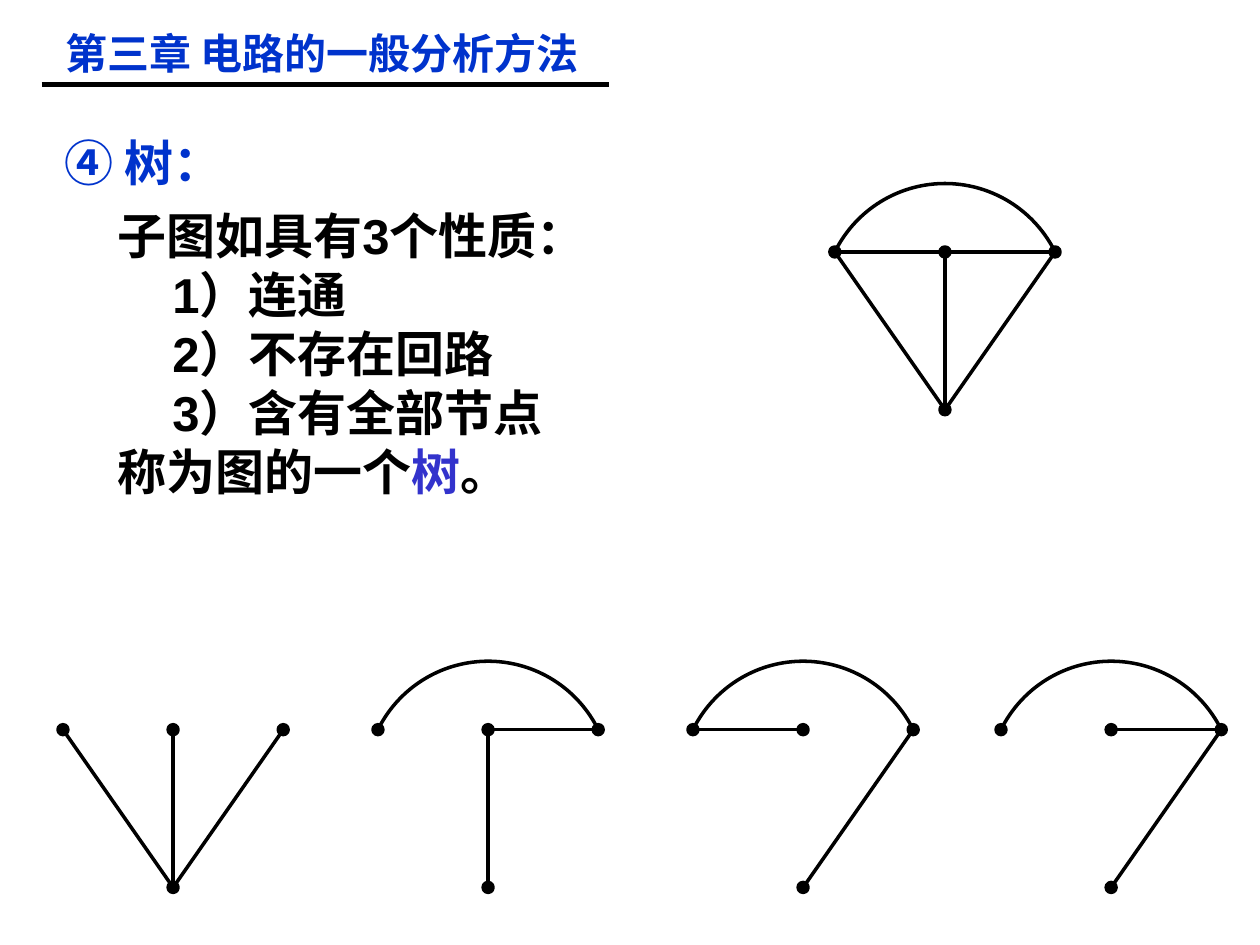
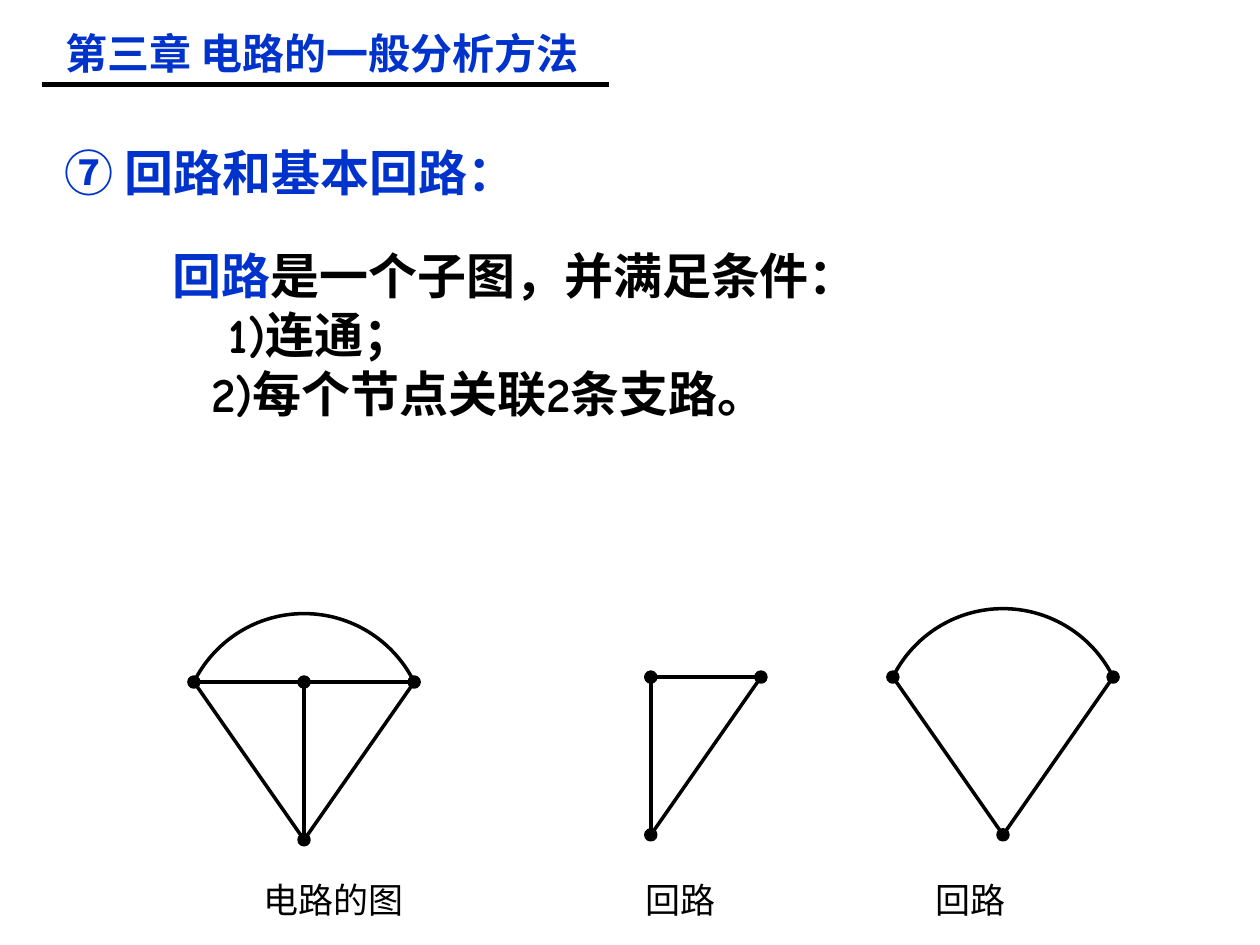
"""Build two slides on trees and loops of a circuit graph."""
import math

import lxml.etree
import pptx
import pptx.dml.color
import pptx.enum.shapes
import pptx.enum.text
import pptx.oxml.ns
import pptx.util

Cm = pptx.util.Cm
Pt = pptx.util.Pt
qn = pptx.oxml.ns.qn

COLORS = {"blue": "0033CC", "violet": "3333CC", "black": "000000"}
CJK_FONT = "Noto Sans CJK SC"
CAPTION_FONT = "Noto Sans CJK JP"
CHAPTER = "第三章 电路的一般分析方法"

HALF_WIDTH, DEPTH, RISE, NODE_SIZE = 2.22, 3.18, 1.38, 0.2
NODES = {
    "left": (-HALF_WIDTH, 0),
    "middle": (0, 0),
    "right": (HALF_WIDTH, 0),
    "bottom": (0, DEPTH),
}
FULL_GRAPH = ["left-middle", "middle-right", "left-bottom", "middle-bottom", "right-bottom"]


def rgb(name):
    return pptx.dml.color.RGBColor.from_string(COLORS[name])


def style_run(run, size, font, color, bold, asian_font=CJK_FONT):
    run.font.size = Pt(size)
    run.font.name = font
    run.font.bold = bold
    run.font.color.rgb = rgb(color)
    properties = run._r.get_or_add_rPr()
    lxml.etree.SubElement(properties, qn("a:ea")).set("typeface", asian_font)


def place(shape, left, top, width, height):
    shape.left, shape.top, shape.width, shape.height = map(Cm, (left, top, width, height))
    frame = shape.text_frame
    frame.word_wrap = True
    frame.auto_size = pptx.enum.text.MSO_AUTO_SIZE.NONE
    frame.vertical_anchor = pptx.enum.text.MSO_ANCHOR.TOP
    return frame


def draw_line(slide, start, end, width=2):
    line = slide.shapes.add_connector(
        pptx.enum.shapes.MSO_CONNECTOR.STRAIGHT, *map(Cm, (*start, *end)))
    line.line.color.rgb = rgb("black")
    line.line.width = Pt(width)
    lxml.etree.SubElement(line._element.spPr, qn("a:effectLst"))


def draw_shape(slide, kind, center, size):
    left, top = (value - size / 2 for value in center)
    shape = slide.shapes.add_shape(kind, *map(Cm, (left, top, size, size)))
    shape.shadow.inherit = False
    shape.line.color.rgb = rgb("black")
    shape.line.width = Pt(2)
    return shape


def draw_arc(slide, x, y):
    radius = (HALF_WIDTH ** 2 + RISE ** 2) / (2 * RISE)
    drop = radius - RISE
    arc = draw_shape(slide, pptx.enum.shapes.MSO_SHAPE.ARC, (x, y + drop), 2 * radius)
    arc.fill.background()
    angle = math.degrees(math.asin(drop / radius))
    for index, degrees in enumerate((180 + angle, 360 - angle)):
        arc.adjustments[index] = degrees * 0.6


def draw_graph(slide, x, y, edges, arc=True, nodes=tuple(NODES)):
    positions = {name: (x + dx, y + dy) for name, (dx, dy) in NODES.items()}
    for edge in edges:
        start, end = edge.split("-")
        draw_line(slide, positions[start], positions[end])
    if arc:
        draw_arc(slide, x, y)
    for name in nodes:
        node = draw_shape(slide, pptx.enum.shapes.MSO_SHAPE.OVAL, positions[name], NODE_SIZE)
        node.fill.solid()
        node.fill.fore_color.rgb = rgb("black")


def add_slide(presentation):
    slide = presentation.slides.add_slide(presentation.slide_layouts[1])
    frame = place(slide.shapes.title, 1.06, 0.42, 11.4, 1.28)
    frame.text = CHAPTER
    paragraph = frame.paragraphs[0]
    paragraph.alignment = pptx.enum.text.PP_ALIGN.LEFT
    style_run(paragraph.runs[0], 24, CAPTION_FONT, "blue", True, CAPTION_FONT)
    draw_line(slide, (0.84, 1.7), (12.27, 1.7), 3)
    return slide


def add_label(slide, text, left, top, width, height):
    box = slide.shapes.add_textbox(0, 0, 0, 0)
    frame = place(box, left, top, width, height)
    frame.text = text
    return frame.paragraphs[0]


def add_heading(slide, text, top):
    paragraph = add_label(slide, text, 1.06, top, 13.76, 1.45)
    style_run(paragraph.runs[0], 28, "Arial", "blue", True)


def add_caption(slide, text, center):
    paragraph = add_label(slide, text, center - 2.5, 17.58, 5, 1.12)
    paragraph.alignment = pptx.enum.text.PP_ALIGN.CENTER
    style_run(paragraph.runs[0], 20, CAPTION_FONT, "black", False, CAPTION_FONT)


def fill_body(slide, box, font, lines):
    frame = place(slide.placeholders[1], *box)
    for index, (indent, parts) in enumerate(lines):
        paragraph = frame.paragraphs[0] if index == 0 else frame.add_paragraph()
        properties = paragraph._p.get_or_add_pPr()
        properties.set("marL", str(Cm(indent)))
        properties.set("indent", "0")
        lxml.etree.SubElement(properties, qn("a:buNone"))
        paragraph.space_before = Pt(0)
        for text, color in parts:
            run = paragraph.add_run()
            run.text = text
            style_run(run, 28, font, color, True)


def build_tree_slide(presentation):
    slide = add_slide(presentation)
    add_heading(slide, "④ 树：", 2.54)
    fill_body(slide, (2.12, 4.02, 13, 6.2), "Arial", [
        (0, [("子图如具有3个性质：", "black")]),
        (1.1, [("1）连通", "black")]),
        (1.1, [("2）不存在回路", "black")]),
        (1.1, [("3）含有全部节点", "black")]),
        (0, [("称为图的一个", "black"), ("树", "violet"), ("。", "black")]),
    ])
    draw_graph(slide, 19.05, 5.08, FULL_GRAPH)
    trees = [
        (3.49, ["left-bottom", "middle-bottom", "right-bottom"], False),
        (9.84, ["middle-right", "middle-bottom"], True),
        (16.19, ["left-middle", "right-bottom"], True),
        (22.4, ["middle-right", "right-bottom"], True),
    ]
    for x, edges, arc in trees:
        draw_graph(slide, x, 14.71, edges, arc)


def build_loop_slide(presentation):
    slide = add_slide(presentation)
    add_heading(slide, "⑦ 回路和基本回路：", 2.74)
    fill_body(slide, (1.9, 4.83, 21.7, 6.2), "Comic Neue", [
        (1.33, [("回路", "blue"), ("是一个子图，并满足条件：", "black")]),
        (2.46, [("1)连通；", "black")]),
        (2.1, [("2)每个节点关联2条支路。", "black")]),
    ])
    draw_graph(slide, 6.13, 13.75, FULL_GRAPH)
    draw_graph(slide, 13.12, 13.65, ["middle-right", "middle-bottom", "right-bottom"],
               arc=False, nodes=("middle", "right", "bottom"))
    draw_graph(slide, 20.22, 13.65, ["left-bottom", "right-bottom"],
               nodes=("left", "right", "bottom"))
    for text, center in (("电路的图", 6.73), ("回路", 13.73), ("回路", 19.57)):
        add_caption(slide, text, center)


def main():
    presentation = pptx.Presentation()
    presentation.slide_width = Cm(25.4)
    presentation.slide_height = Cm(19.05)
    build_tree_slide(presentation)
    build_loop_slide(presentation)
    presentation.save("out.pptx")


if __name__ == "__main__":
    main()
